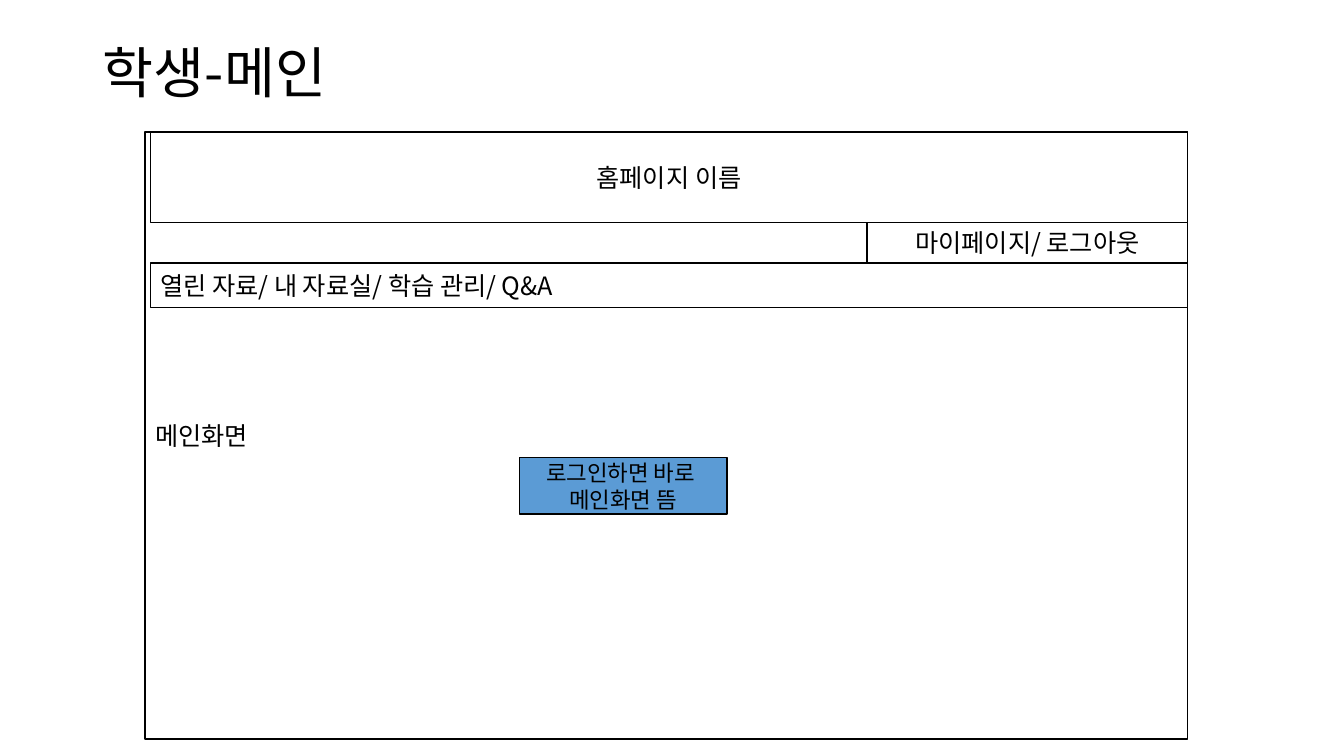
from lxml import etree
from pptx import Presentation
from pptx.dml.color import RGBColor
from pptx.enum.shapes import MSO_SHAPE
from pptx.enum.text import MSO_ANCHOR, MSO_AUTO_SIZE, PP_ALIGN
from pptx.oxml.ns import qn
from pptx.util import Inches, Pt

BLACK = RGBColor(0x00, 0x00, 0x00)
WHITE = RGBColor(0xFF, 0xFF, 0xFF)
BLUE = RGBColor(0x5B, 0x9B, 0xD5)
FONT = "Noto Sans CJK KR"


def write_text(shape, lines, size, align):
    """Fill a shape with one paragraph per line, centred vertically."""
    frame = shape.text_frame
    frame.word_wrap = True
    frame.vertical_anchor = MSO_ANCHOR.MIDDLE
    frame.margin_top = frame.margin_bottom = 0
    frame.text = "\n".join(lines)
    for paragraph in frame.paragraphs:
        paragraph.alignment = align
        paragraph.font.name = FONT
        paragraph.font.size = Pt(size)
        paragraph.font.color.rgb = BLACK
        properties = paragraph._p.get_or_add_pPr().get_or_add_defRPr()
        etree.SubElement(properties, qn("a:ea"), typeface=FONT)


def add_box(slide, box, lines, size=18, align=PP_ALIGN.CENTER, fill=WHITE):
    """Add an outlined rectangle with text; box is left, top, width, height."""
    shape = slide.shapes.add_shape(MSO_SHAPE.RECTANGLE, *map(Inches, box))
    shape.shadow.inherit = False
    shape.fill.solid()
    shape.fill.fore_color.rgb = fill
    shape.line.color.rgb = BLACK
    shape.line.width = Pt(1)
    write_text(shape, lines, size, align)


def set_title(slide, box, text):
    """Place and format the title placeholder."""
    title = slide.shapes.title
    title.left, title.top, title.width, title.height = map(Inches, box)
    write_text(title, [text], 39.6, PP_ALIGN.LEFT)
    title.text_frame.auto_size = MSO_AUTO_SIZE.NONE
    title.text_frame.paragraphs[0].line_spacing = 0.9


def add_page_frame(slide, box):
    """Draw the page wireframe: header, account links, menu and main area."""
    left, top, width, height = box
    inset, account_width = 0.05, 3.18
    header_height, account_height, menu_height = 0.9, 0.4, 0.44
    bar_left, bar_width = left + inset, width - inset
    account_left = left + width - account_width
    account_top = top + header_height
    menu_top = account_top + account_height
    add_box(slide, box, ["메인화면"], align=PP_ALIGN.LEFT)
    add_box(slide, (bar_left, top, bar_width, header_height),
            ["홈페이지 이름"])
    add_box(slide, (account_left, account_top, account_width, account_height),
            ["마이페이지/ 로그아웃"])
    add_box(slide, (bar_left, menu_top, bar_width, menu_height),
            ["열린 자료/ 내 자료실/ 학습 관리/ Q&A"], align=PP_ALIGN.LEFT)


def add_login_note(slide, box):
    """Add the blue note about what appears after login."""
    add_box(slide, box, ["로그인하면 바로 ", "메인화면 뜸"], size=16, fill=BLUE)


def build_presentation():
    """Build the student main page slide and save it."""
    presentation = Presentation()
    presentation.slide_width = Inches(13.33)
    presentation.slide_height = Inches(7.5)
    slide = presentation.slides.add_slide(presentation.slide_layouts[5])
    set_title(slide, (0.92, 0.4, 11.15, 0.7), "학생-메인")
    add_page_frame(slide, (1.44, 1.31, 10.34, 6.02))
    add_login_note(slide, (5.15, 4.54, 2.06, 0.56))
    presentation.save("out.pptx")


build_presentation()
